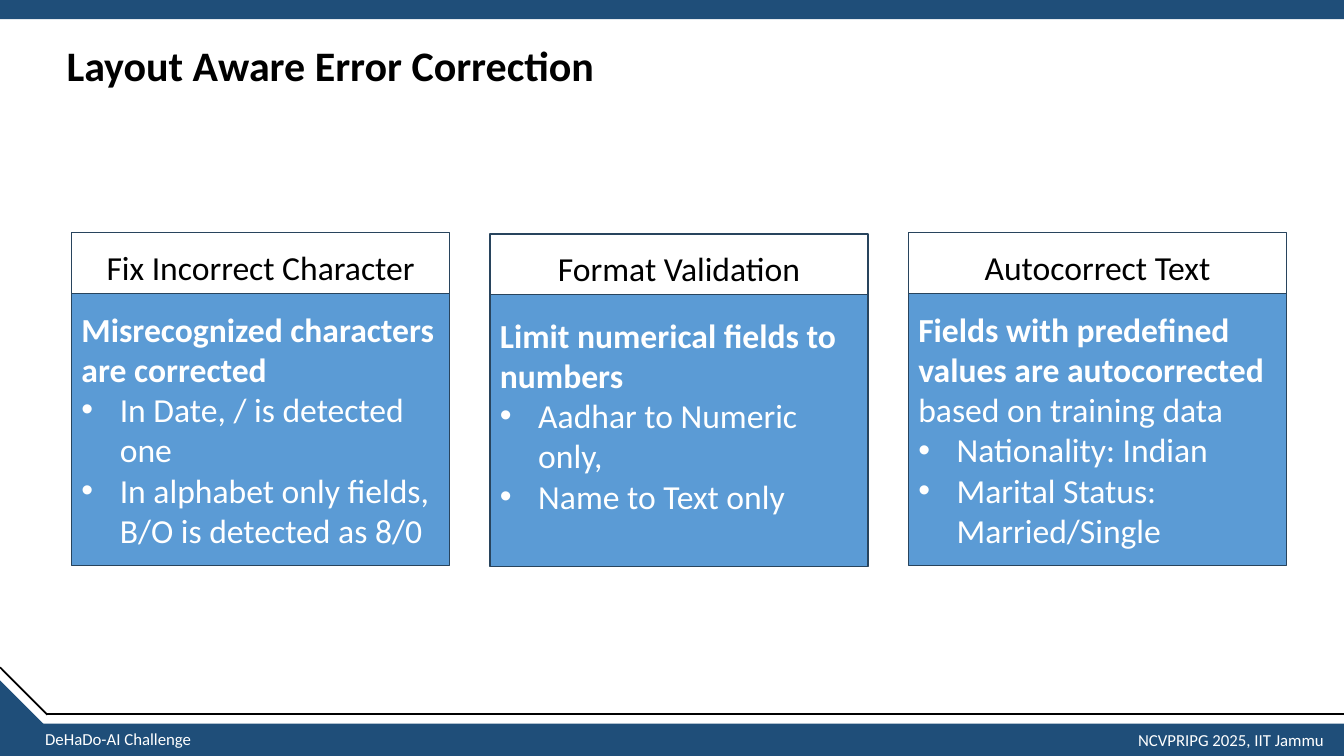
import pptx
import pptx.dml.color
import pptx.enum.shapes
import pptx.enum.text
import pptx.oxml.ns
import pptx.util
import lxml.etree

PX = 9144
NAVY = pptx.dml.color.RGBColor(0x1F, 0x4E, 0x79)
BLUE = pptx.dml.color.RGBColor(0x5B, 0x9B, 0xD5)
EDGE = pptx.dml.color.RGBColor(0x28, 0x44, 0x5D)
BLACK = pptx.dml.color.RGBColor(0, 0, 0)
WHITE = pptx.dml.color.RGBColor(255, 255, 255)
SHAPE = pptx.enum.shapes.MSO_SHAPE
ALIGN = pptx.enum.text.PP_ALIGN
ANCHOR = pptx.enum.text.MSO_ANCHOR


def write(paragraph, text, size=24, color=WHITE, bold=False, align=ALIGN.LEFT, bullet=False):
    paragraph.alignment = align
    if bullet:
        properties = paragraph._p.get_or_add_pPr()
        properties.set("marL", str(38 * PX))
        properties.set("indent", str(-38 * PX))
        font = lxml.etree.SubElement(properties, pptx.oxml.ns.qn("a:buFont"))
        font.set("typeface", "Arial")
        mark = lxml.etree.SubElement(properties, pptx.oxml.ns.qn("a:buChar"))
        mark.set("char", "•")
    run = paragraph.add_run()
    run.text = text
    run.font.name = "Calibri"
    run.font.size = pptx.util.Pt(size)
    run.font.bold = bold
    run.font.color.rgb = color


def add_box(shapes, kind, left, top, width, height, fill=None, line=None):
    box = shapes.add_shape(kind, left * PX, top * PX, width * PX, height * PX)
    box.shadow.inherit = False
    if fill is None:
        box.fill.background()
    else:
        box.fill.solid()
        box.fill.fore_color.rgb = fill
    if line is None:
        box.line.fill.background()
    else:
        box.line.color.rgb = line
        box.line.width = pptx.util.Pt(1)
    box.text_frame.word_wrap = True
    return box


deck = pptx.Presentation()
deck.slide_width = 1333 * PX
deck.slide_height = 750 * PX
slide = deck.slides.add_slide(deck.slide_layouts[5])

title = slide.shapes.title
title.left, title.top, title.width, title.height = 56 * PX, 40 * PX, 1186 * PX, 55 * PX
title.text_frame.vertical_anchor = ANCHOR.MIDDLE
title.text_frame.paragraphs[0].line_spacing = 0.9
write(title.text_frame.paragraphs[0], "Layout Aware Error Correction", size=30, color=BLACK, bold=True)

add_box(slide.shapes, SHAPE.RECTANGLE, 0, 718, 1333, 32, fill=NAVY)
add_box(slide.shapes, SHAPE.RECTANGLE, 0, 0, 1333, 19, fill=NAVY)
corner = add_box(slide.shapes, SHAPE.ISOSCELES_TRIANGLE, 0, 675, 47, 47, fill=NAVY)
corner.adjustments[0] = 1
corner.rotation = 90

for x1, y1, x2, y2 in [(47, 708, 1333, 708), (0, 662, 47, 709)]:
    rule = slide.shapes.add_connector(
        pptx.enum.shapes.MSO_CONNECTOR.STRAIGHT, x1 * PX, y1 * PX, x2 * PX, y2 * PX)
    rule.line.color.rgb = BLACK
    rule.line.width = pptx.util.Pt(1.25)
    lxml.etree.SubElement(rule._element.spPr, pptx.oxml.ns.qn("a:effectLst"))

for left, top, width, label in [
    (35, 718, 167, "DeHaDo-AI Challenge"),
    (1119, 719, 207, "NCVPRIPG 2025, IIT Jammu"),
]:
    footer = slide.shapes.add_textbox(left * PX, top * PX, width * PX, 30 * PX)
    footer.text_frame.word_wrap = False
    footer.text_frame.auto_size = pptx.enum.text.MSO_AUTO_SIZE.SHAPE_TO_FIT_TEXT
    write(footer.text_frame.paragraphs[0], label, size=12)

cards = [
    ("Fix Incorrect Character", 231, 5, "Misrecognized characters are corrected", "",
     ["In Date, / is detected one", "In alphabet only fields, B/O is detected as 8/0"]),
    ("Format Validation", 232, 35, "Limit numerical fields to numbers", "",
     ["Aadhar to Numeric only,", "Name to Text only"]),
    ("Autocorrect Text", 231, 5, "Fields with predefined values are autocorrected ",
     "based on training data", ["Nationality: Indian", "Marital Status: Married/Single"]),
]
for column, (heading, top, bottom_margin, lead, lead_rest, points) in enumerate(cards):
    left = 71 + 415 * column
    card = slide.shapes.add_group_shape()

    header = add_box(card.shapes, SHAPE.RECTANGLE, left, top, 375, 247, line=EDGE)
    header.text_frame.vertical_anchor = ANCHOR.TOP
    header.text_frame.margin_top = 14 * PX
    write(header.text_frame.paragraphs[0], heading, color=BLACK, align=ALIGN.CENTER)

    body = add_box(card.shapes, SHAPE.RECTANGLE, left, top + 60, 375, 270, fill=BLUE, line=EDGE)
    body.text_frame.vertical_anchor = ANCHOR.MIDDLE
    body.text_frame.margin_bottom = bottom_margin * PX
    write(body.text_frame.paragraphs[0], lead, bold=True)
    if lead_rest:
        write(body.text_frame.paragraphs[0], lead_rest)
    for point in points:
        write(body.text_frame.add_paragraph(), point, bullet=True)

deck.save("out.pptx")
